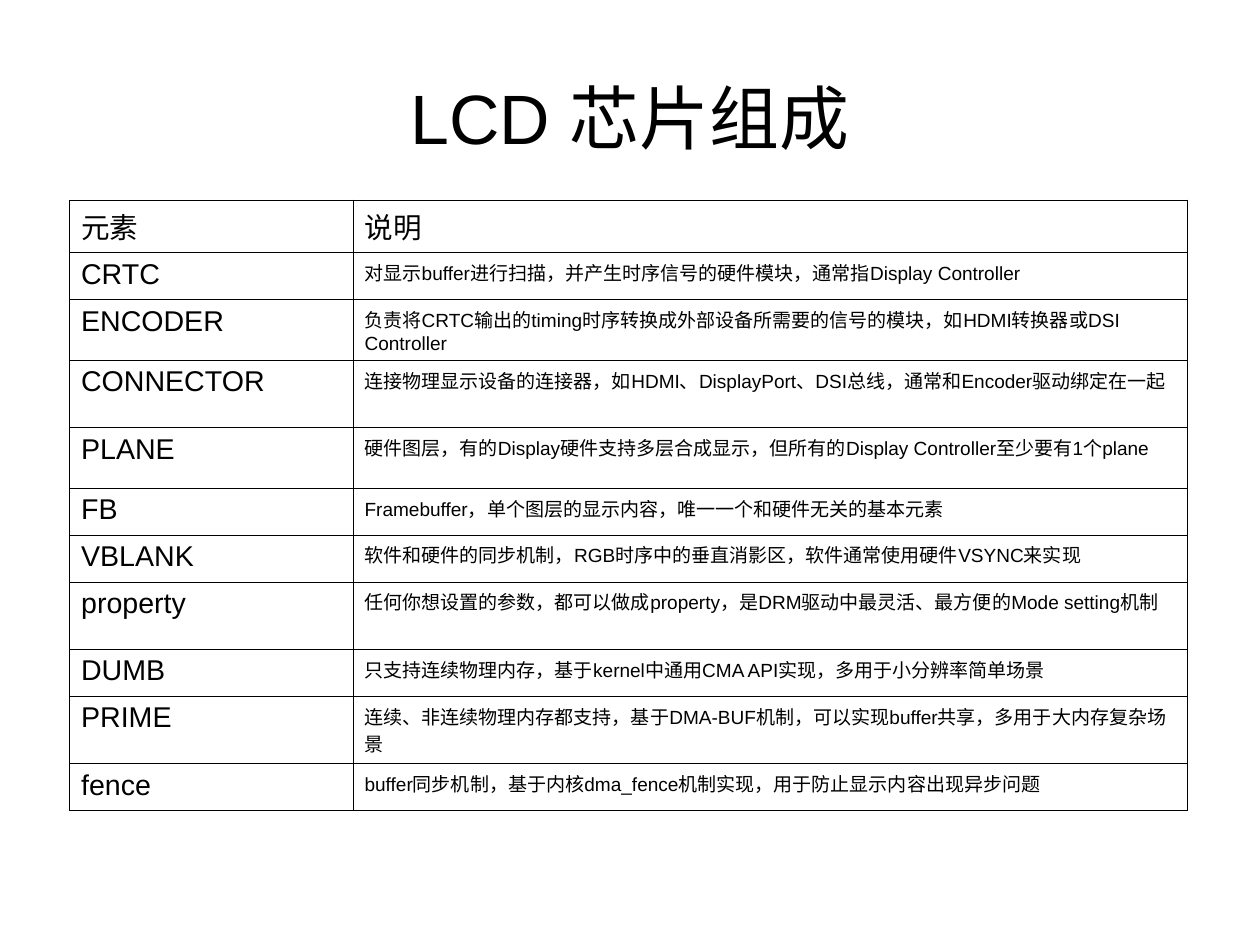
import pptx
import pptx.dml.color
import pptx.enum.text
import pptx.util
from pptx.oxml.xmlchemy import OxmlElement

Inches, Pt = pptx.util.Inches, pptx.util.Pt

TITLE = "LCD 芯片组成"
HEADER = ("元素", "说明")
HEADER_HEIGHT = 0.46
ONE_LINE, LATIN_WRAP, CHINESE_WRAP = 0.41, 0.53, 0.59  # row heights in inches
ELEMENTS = [
    ("CRTC", "对显示buffer进行扫描，并产生时序信号的硬件模块，通常指Display Controller", ONE_LINE),
    ("ENCODER", "负责将CRTC输出的timing时序转换成外部设备所需要的信号的模块，如HDMI转换器或DSI Controller", LATIN_WRAP),
    ("CONNECTOR", "连接物理显示设备的连接器，如HDMI、DisplayPort、DSI总线，通常和Encoder驱动绑定在一起", CHINESE_WRAP),
    ("PLANE", "硬件图层，有的Display硬件支持多层合成显示，但所有的Display Controller至少要有1个plane", LATIN_WRAP),
    ("FB", "Framebuffer，单个图层的显示内容，唯一一个和硬件无关的基本元素", ONE_LINE),
    ("VBLANK", "软件和硬件的同步机制，RGB时序中的垂直消影区，软件通常使用硬件VSYNC来实现", ONE_LINE),
    ("property", "任何你想设置的参数，都可以做成property，是DRM驱动中最灵活、最方便的Mode setting机制", CHINESE_WRAP),
    ("DUMB", "只支持连续物理内存，基于kernel中通用CMA API实现，多用于小分辨率简单场景", ONE_LINE),
    ("PRIME", "连续、非连续物理内存都支持，基于DMA-BUF机制，可以实现buffer共享，多用于大内存复杂场景", CHINESE_WRAP),
    ("fence", "buffer同步机制，基于内核dma_fence机制实现，用于防止显示内容出现异步问题", ONE_LINE),
]
COLORS = {"text": "000000", "border": "000000"}
FONT = "Arial"
TITLE_SIZE, LABEL_SIZE, DESCRIPTION_SIZE = 44, 18, 12
BORDER_WIDTH = 0.57
COLUMN_WIDTHS = (2.48, 7.3)


def style_paragraph(paragraph, size):
    paragraph.font.name = FONT
    paragraph.font.size = Pt(size)
    paragraph.font.bold = False
    paragraph.font.color.rgb = pptx.dml.color.RGBColor.from_string(COLORS["text"])


def add_borders(cell):
    properties = cell._tc.get_or_add_tcPr()
    for side in ("a:lnL", "a:lnR", "a:lnT", "a:lnB"):
        line = OxmlElement(side)
        line.set("w", str(int(Pt(BORDER_WIDTH))))
        fill = OxmlElement("a:solidFill")
        color = OxmlElement("a:srgbClr")
        color.set("val", COLORS["border"])
        fill.append(color)
        line.append(fill)
        properties.append(line)


def fill_cell(cell, text, size):
    cell.text = text
    cell.margin_left = cell.margin_right = Inches(0.1)
    cell.margin_top = cell.margin_bottom = Inches(0.05)
    style_paragraph(cell.text_frame.paragraphs[0], size)
    add_borders(cell)
    cell.fill.background()


def add_title(slide):
    title = slide.shapes.title
    title.left, title.top = Inches(0.55), Inches(0.33)
    title.width, title.height = Inches(9.92), Inches(1.38)
    frame = title.text_frame
    frame.text = TITLE
    frame.auto_size = pptx.enum.text.MSO_AUTO_SIZE.NONE
    frame.vertical_anchor = pptx.enum.text.MSO_ANCHOR.MIDDLE
    frame.margin_left = frame.margin_right = frame.margin_top = frame.margin_bottom = 0
    frame.paragraphs[0].alignment = pptx.enum.text.PP_ALIGN.CENTER
    style_paragraph(frame.paragraphs[0], TITLE_SIZE)


def add_element_table(slide):
    rows = [(*HEADER, HEADER_HEIGHT)] + ELEMENTS
    heights = [height for _, _, height in rows]
    table = slide.shapes.add_table(
        len(rows), len(COLUMN_WIDTHS), Inches(0.61), Inches(1.75),
        Inches(sum(COLUMN_WIDTHS)), Inches(sum(heights))).table
    table.first_row = table.horz_banding = False
    for column, width in zip(table.columns, COLUMN_WIDTHS):
        column.width = Inches(width)
    for index, (element, description, height) in enumerate(rows):
        table.rows[index].height = Inches(height)
        fill_cell(table.cell(index, 0), element, LABEL_SIZE)
        fill_cell(table.cell(index, 1), description, DESCRIPTION_SIZE if index else LABEL_SIZE)


def main():
    presentation = pptx.Presentation()
    presentation.slide_width = pptx.util.Cm(28)
    presentation.slide_height = pptx.util.Cm(21)
    slide = presentation.slides.add_slide(presentation.slide_layouts.get_by_name("Title Only"))
    add_title(slide)
    add_element_table(slide)
    presentation.save("out.pptx")


if __name__ == "__main__":
    main()
